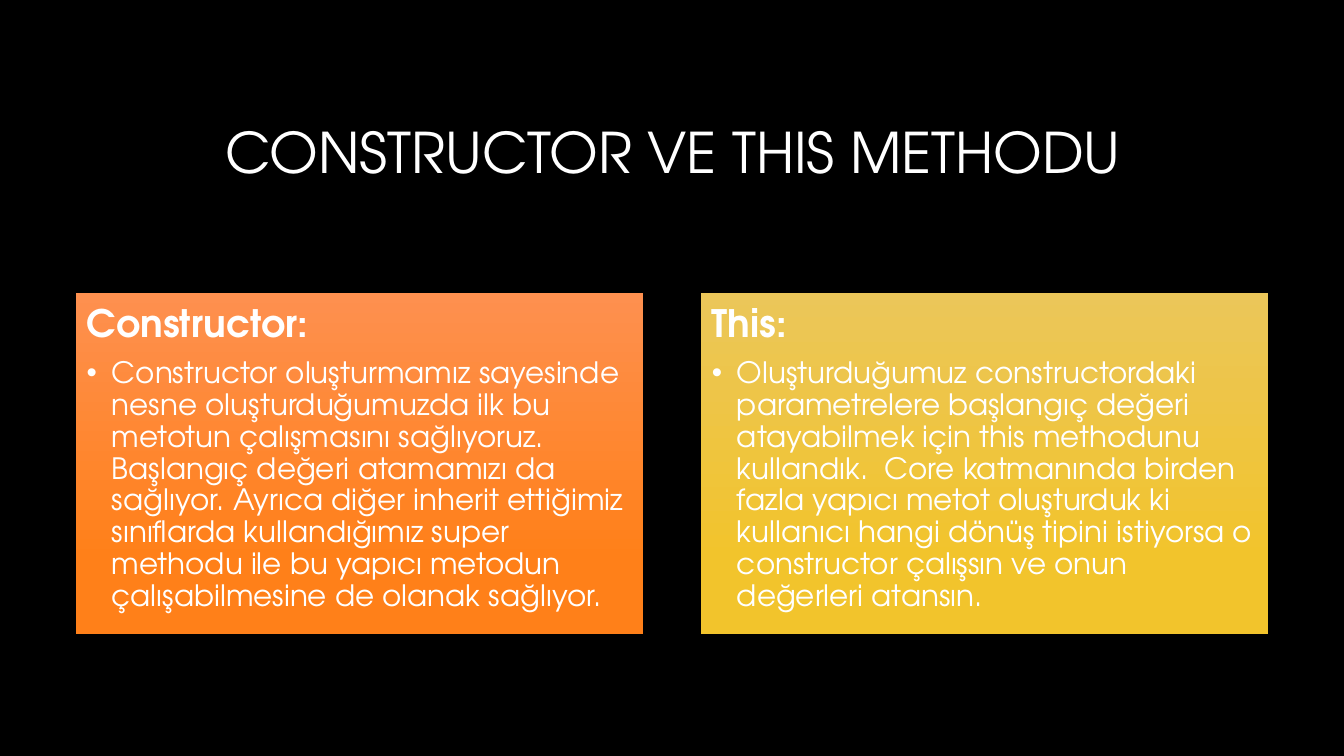
from lxml import etree
from pptx import Presentation
from pptx import util as u
from pptx.dml.color import RGBColor
from pptx.enum import shapes, text
from pptx.oxml.ns import qn

FONT = "TeX Gyre Adventor"
WHITE = "FFFFFF"
CARDS = [
    ("Constructor:",
     "Constructor oluşturmamız sayesinde nesne oluşturduğumuzda ilk bu metotun çalışmasını "
     "sağlıyoruz. Başlangıç değeri atamamızı da sağlıyor. Ayrıca diğer inherit ettiğimiz "
     "sınıflarda kullandığımız super methodu ile bu yapıcı metodun çalışabilmesine de olanak "
     "sağlıyor.",
     ("FE904F", "FF8019")),
    ("This:",
     "Oluşturduğumuz constructordaki parametrelere başlangıç değeri atayabilmek için this "
     "methodunu kullandık.  Core katmanında birden fazla yapıcı metot oluşturduk ki kullanıcı "
     "hangi dönüş tipini istiyorsa o constructor çalışsın ve onun değerleri atansın.",
     ("EBC659", "F2C42C")),
]


def color(value):
    """Turn a hex string into a colour."""
    return RGBColor.from_string(value)


def apply(target, values):
    """Set every attribute named in a dict of format values."""
    for name, value in values.items():
        setattr(target, name, value)


def write(para, words, size, bold=False, **layout):
    """Write one white span into a paragraph and lay the paragraph out."""
    apply(para, {"line_spacing": 0.9, **layout})
    span = para.add_run()
    span.text = words
    apply(span.font, {"name": FONT, "size": u.Pt(size), "bold": bold})
    span.font.color.rgb = color(WHITE)


def add_bullet(para, indent):
    """Give a paragraph a round bullet with a hanging indent."""
    properties = para._p.get_or_add_pPr()
    properties.set("marL", str(indent))
    properties.set("indent", str(-indent))
    etree.SubElement(properties, qn("a:buFont")).set("typeface", "Arial")
    etree.SubElement(properties, qn("a:buChar")).set("char", "•")


def add_title(page, box, words):
    """Place the centred slide title in its box."""
    frame = page.shapes.add_textbox(*map(u.Inches, box)).text_frame
    apply(frame, {"word_wrap": True, "vertical_anchor": text.MSO_ANCHOR.MIDDLE})
    write(frame.paragraphs[0], words, 40, alignment=text.PP_ALIGN.CENTER)


def add_card(page, box, heading, body, shades):
    """Place a gradient card with a heading and one bulleted paragraph."""
    card = page.shapes.add_shape(shapes.MSO_SHAPE.RECTANGLE, *map(u.Inches, box))
    card.shadow.inherit = False
    card.line.fill.background()
    card.fill.gradient()
    card.fill.gradient_angle = 270
    for stop, position, shade in zip(card.fill.gradient_stops, (0, 0.78), shades):
        stop.position = position
        stop.color.rgb = color(shade)

    frame = card.text_frame
    apply(frame, {"word_wrap": True, "vertical_anchor": text.MSO_ANCHOR.TOP})
    apply(frame, {f"margin_{side}": u.Inches(0.11)
                  for side in ("left", "top", "right", "bottom")})
    write(frame.paragraphs[0], heading, 27, bold=True,
          alignment=text.PP_ALIGN.LEFT, space_after=u.Pt(9.5))
    para = frame.add_paragraph()
    add_bullet(para, u.Inches(0.25))
    write(para, body, 21, level=1, alignment=text.PP_ALIGN.LEFT, space_after=u.Pt(3))


def add_cards(page, box, gap):
    """Share a box between equally wide cards."""
    left, top, width, height = box
    card_width = (width - gap * (len(CARDS) - 1)) / len(CARDS)
    for index, card in enumerate(CARDS):
        place = (left + index * (card_width + gap), top, card_width, height)
        add_card(page, place, *card)


def main():
    """Build the slide and save the deck."""
    deck = Presentation()
    apply(deck, {"slide_width": u.Inches(13.33), "slide_height": u.Inches(7.5)})
    page = deck.slides.add_slide(deck.slide_layouts[6])
    page.background.fill.solid()
    page.background.fill.fore_color.rgb = color("000000")
    add_title(page, (0.76, 0.84, 11.83, 1.41), "CONSTRUCTOR VE THIS METHODU")
    add_cards(page, (0.75, 2.91, 11.83, 3.38), gap=0.57)
    deck.save("out.pptx")


if __name__ == "__main__":
    main()
